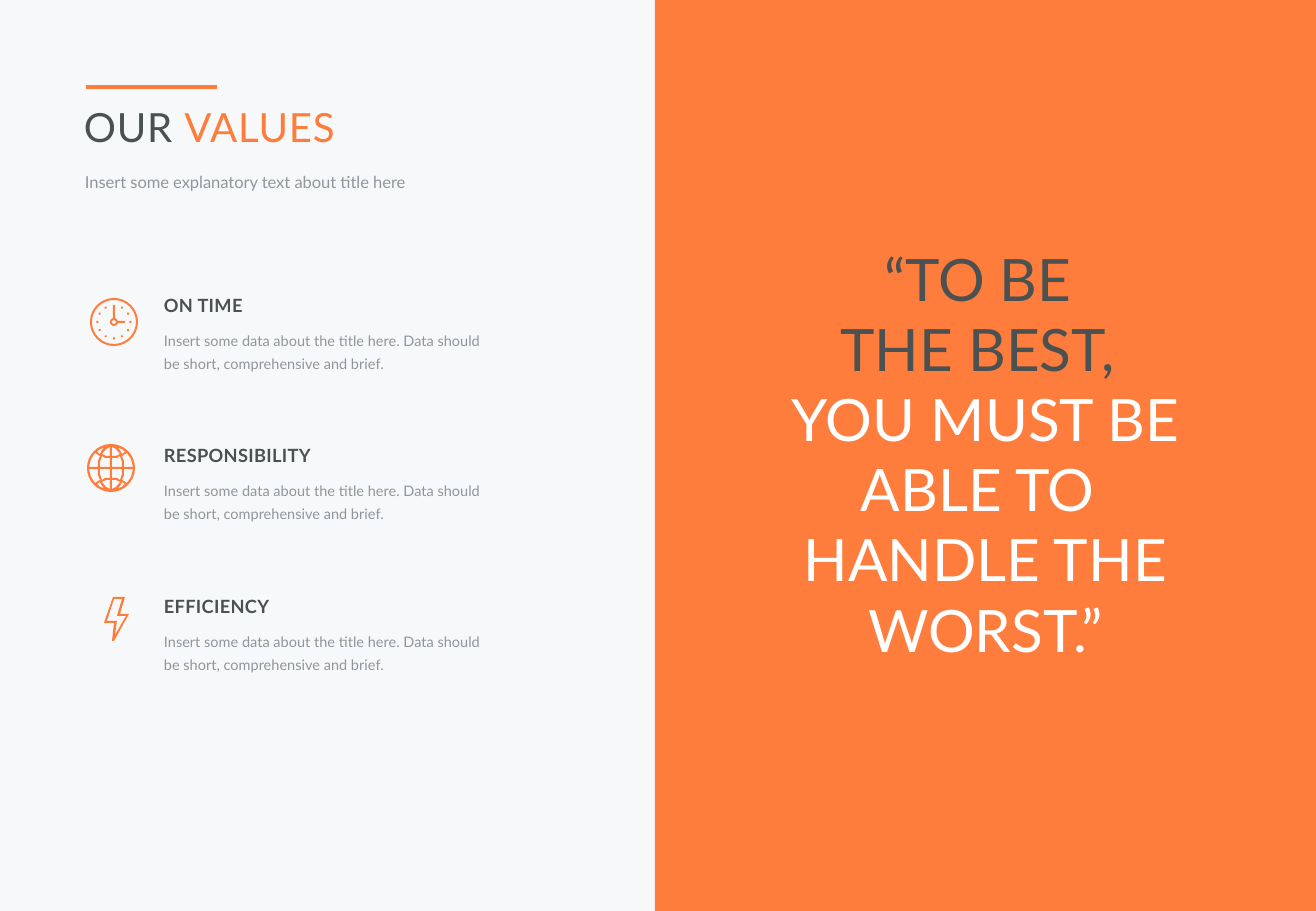
from math import cos, radians, sin

from pptx import Presentation
from pptx.dml.color import RGBColor
from pptx.enum.shapes import MSO_CONNECTOR, MSO_SHAPE
from pptx.enum.text import MSO_AUTO_SIZE, PP_ALIGN
from pptx.oxml.ns import qn
from pptx.util import Emu, Pt

STRAIGHT = MSO_CONNECTOR.STRAIGHT
RECTANGLE = MSO_SHAPE.RECTANGLE
FIT_SHAPE = MSO_AUTO_SIZE.SHAPE_TO_FIT_TEXT
LEFT, CENTER = PP_ALIGN.LEFT, PP_ALIGN.CENTER

EMU_PER_PX = 914400 / 121.5
ORANGE, DARK, GRAY = "FF7D3C", "4B5050", "91969B"
WHITE, PALE = "FFFFFF", "F6F8FA"
BODY = "Insert some data about the title here. Data should be short, comprehensive and brief."

GLOBE_GAPS = [
    [(1, -21), (5, -19), (9, -14), (5, -12), (1, -12)],
    [(1, -10), (6, -10), (9, -12), (11, -6), (11, -1), (1, -1)],
    [(7, -20), (11, -19), (14, -16), (11, -14), (9, -18)],
    [(22, -1), (13, -1), (13, -7), (11, -12), (16, -15), (20, -9)],
]
BOLT_EDGES = [
    [(9, 0), (21, 0), (16, 17), (25, 17), (10, 44), (8, 44), (10, 26), (0, 26)],
    [(10, 2), (18, 2), (13, 19), (22, 19), (11, 38), (13, 24), (3, 24)],
]


def px(value):
    return Emu(round(value * EMU_PER_PX))


def color(hex_string):
    return RGBColor.from_string(hex_string)


def circle(radius, corners, center_x=0, center_y=0):
    angles = [radians(360 * corner / corners) for corner in range(corners)]
    return [(center_x + radius * sin(angle), center_y - radius * cos(angle)) for angle in angles]


def box(left, top, right, bottom):
    return [(left, top), (right, top), (right, bottom), (left, bottom)]


class SlideBuilder:
    font_name = "Lato"

    def __init__(self, slide):
        self.slide = slide

    def background(self, fill):
        self.slide.background.fill.solid()
        self.slide.background.fill.fore_color.rgb = color(fill)

    def paint(self, shape):
        shape.shadow.inherit = False
        shape.fill.solid()
        shape.fill.fore_color.rgb = color(ORANGE)
        shape.line.fill.background()

    def panel(self, left, top, width, height):
        self.paint(self.slide.shapes.add_shape(
            RECTANGLE, px(left), px(top), px(width), px(height)))

    def icon(self, x, y, contours):
        builder = None
        for contour in contours:
            points = [(px(x + dx), px(y + dy)) for dx, dy in contour]
            if builder is None:
                builder = self.slide.shapes.build_freeform(*points[0], scale=1.0)
            else:
                builder.move_to(*points[0])
            builder.add_line_segments(points[1:], close=True)
        self.paint(builder.convert_to_shape())

    def line(self, x1, y1, x2, y2, width):
        connector = self.slide.shapes.add_connector(STRAIGHT, px(x1), px(y1), px(x2), px(y2))
        connector.line.color.rgb = color(ORANGE)
        connector.line.width = Pt(width)
        properties = connector._element.spPr
        properties.append(properties.makeelement(qn("a:effectLst"), {}))

    def text(self, left, top, width, height, paragraphs, size, bold=False,
             align=LEFT, line_spacing=None, tracking=0):
        text_box = self.slide.shapes.add_textbox(px(left), px(top), px(width), px(height))
        frame = text_box.text_frame
        frame.word_wrap = True
        frame.auto_size = FIT_SHAPE
        frame.margin_left = frame.margin_top = frame.margin_right = frame.margin_bottom = 0
        for index, runs in enumerate(paragraphs):
            paragraph = frame.add_paragraph() if index else frame.paragraphs[0]
            paragraph.alignment = align
            paragraph.line_spacing = line_spacing
            paragraph.font.name = self.font_name
            paragraph.font.size = Pt(size)
            paragraph.font.bold = bold
            for words, ink in runs:
                run = paragraph.add_run()
                run.text = words
                run.font.color.rgb = color(ink)
                if tracking:
                    run._r.get_or_add_rPr().set("spc", str(tracking))

    def globe(self, x, y):
        gaps = [[(dx * side, dy * half) for dx, dy in gap]
                for gap in GLOBE_GAPS for side in (1, -1) for half in (1, -1)]
        self.icon(x, y, [circle(24, 32)] + gaps)

    def clock(self, x, y):
        rim = [circle(24, 32), circle(22, 32)]
        hub = [circle(4, 12), circle(2, 12)]
        hands = [box(-1, -17, 1, -4), box(4, -1, 11, 1)]
        dots = [box(dx - 1, dy - 1, dx + 1, dy + 1) for dx, dy in circle(16.5, 12)[1:]]
        self.icon(x, y, rim + hub + hands + dots)


def main():
    presentation = Presentation()
    presentation.slide_width = px(1316)
    presentation.slide_height = px(911)
    builder = SlideBuilder(presentation.slides.add_slide(presentation.slide_layouts[6]))

    builder.background(PALE)
    builder.panel(655, 0, 661, 911)
    quote = [
        [("“TO BE ", DARK)],
        [("THE BEST, ", DARK)],
        [("YOU MUST BE ABLE TO ", WHITE)],
        [("HANDLE THE WORST.”", WHITE)],
    ]
    builder.text(735, 243, 501, 425, quote, 34.65, align=CENTER)

    for index, heading in enumerate(("ON TIME", "RESPONSIBILITY", "EFFICIENCY")):
        top = 294 + index * 301 // 2
        builder.text(164, top + 33, 323, 46, [[(BODY, GRAY)]], 8.65, line_spacing=1.3)
        builder.text(164, top, 323, 22, [[(heading, DARK)]], 10.8, bold=True, tracking=20)

    builder.globe(111, 468)
    builder.clock(114, 322)
    builder.icon(104, 597, BOLT_EDGES)

    builder.text(84, 102, 473, 49, [[("OUR ", DARK), ("VALUES", ORANGE)]], 23.8, tracking=50)
    builder.line(86, 87, 217, 87, width=2.25)
    subtitle = "Insert some explanatory text about title here"
    builder.text(85, 172, 473, 21, [[(subtitle, GRAY)]], 9.75, line_spacing=Pt(12))

    presentation.save("out.pptx")


if __name__ == "__main__":
    main()
